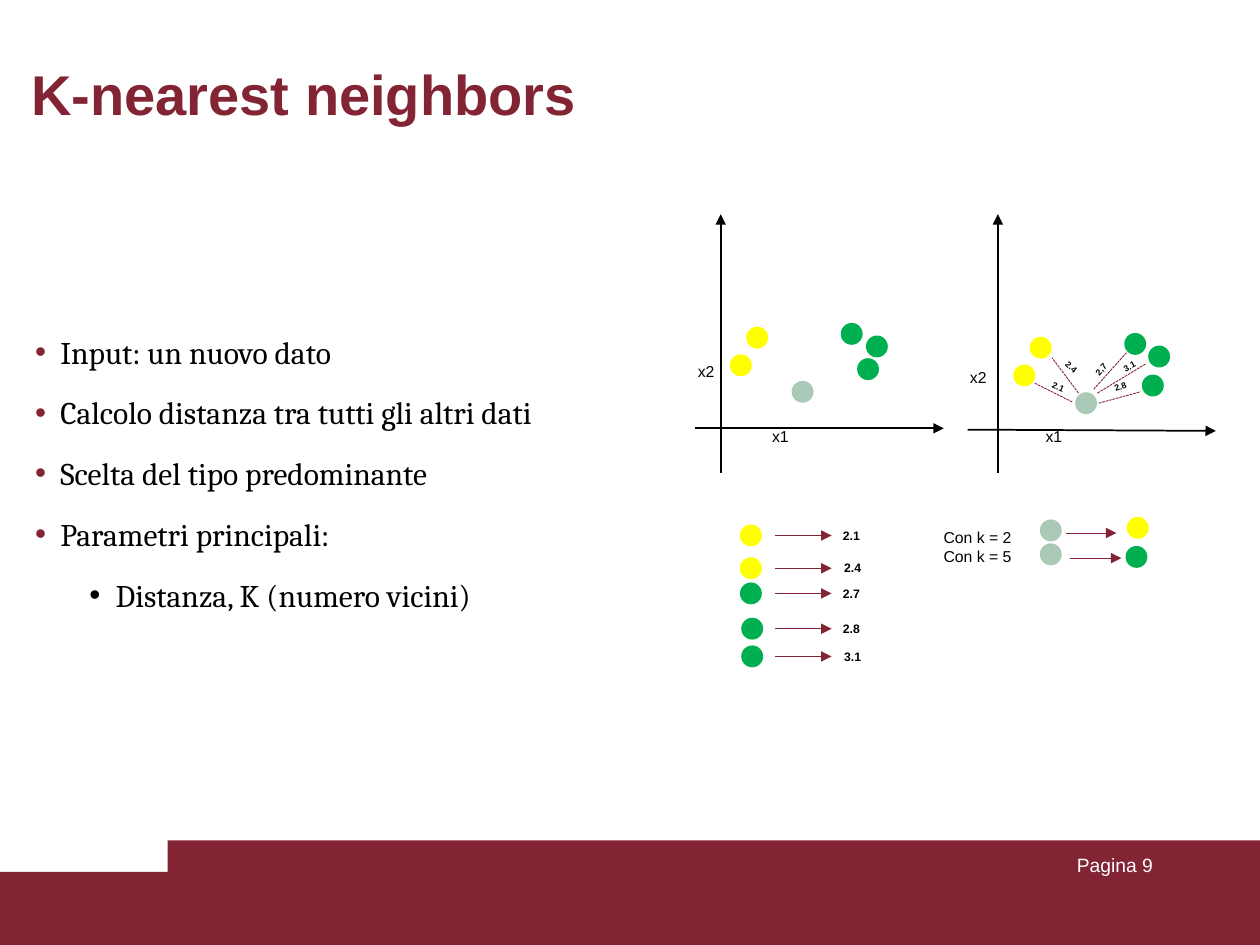
from dataclasses import dataclass

from lxml import etree
from pptx import Presentation
from pptx import util as u
from pptx.dml.color import RGBColor
from pptx.enum import dml, shapes, text
from pptx.oxml import ns


@dataclass(frozen=True)
class Theme:
    """Colours, fonts and type sizes of the slide."""
    wine: str = "822433"
    black: str = "000000"
    white: str = "FFFFFF"
    yellow: str = "FFFF00"
    green: str = "00B050"
    grey: str = "AAC9B6"
    sans: str = "Arial"
    serif: str = "Cambria"
    title: int = 32
    body: int = 18
    footer: int = 11
    label: int = 9
    value: int = 7
    distance: int = 5


THEME = Theme()
DOT = 0.16
BODY = [
    ("Input: un nuovo dato", 0),
    ("Calcolo distanza tra tutti gli altri dati", 0),
    ("Scelta del tipo predominante", 0),
    ("Parametri principali:", 0),
    ("Distanza, K (numero vicini)", 1),
]
INDENTS = [(0.2, -0.2, THEME.wine), (0.64, -0.21, THEME.black)]
DOTS = {
    THEME.yellow: [(5.93, 2.6), (5.8, 2.82), (8.18, 2.68), (8.05, 2.9),
                   (8.95, 4.11)],
    THEME.grey: [(6.29, 3.03), (8.54, 3.12), (8.26, 4.13), (8.26, 4.32)],
    THEME.green: [(6.88, 2.67), (6.81, 2.85), (6.68, 2.57), (9.12, 2.75),
                  (9.07, 2.98), (8.93, 2.65), (8.94, 4.34)],
}
AXES = [
    ((5.72, 3.75), (5.72, 1.7)), ((5.52, 3.4), (7.49, 3.4)),
    ((7.92, 3.75), (7.92, 1.7)), ((7.68, 3.41), (9.65, 3.42)),
]
AXIS_LABELS = [("x1", 6.03, 3.34), ("x2", 5.44, 2.82),
               ("x1", 8.2, 3.34), ("x2", 7.6, 2.87)]
DISTANCES = [
    ("2.1", (8.51, 3.19), (8.21, 3.04), (8.35, 3.04, 0.15), 24.7),
    ("2.4", (8.56, 3.12), (8.35, 2.84), (8.45, 2.89, 0.15), 42.2),
    ("2,7", (8.68, 3.09), (8.94, 2.8), (8.68, 2.87, 0.15), 312.7),
    ("3.1", (8.71, 3.12), (9.09, 2.89), (8.91, 2.85, 0.17), 332.2),
    ("2.8", (8.72, 3.2), (9.05, 3.11), (8.84, 3.01, 0.18), 339.3),
]
RANKING = [
    ("2.1", THEME.yellow, 5.88, 4.25, 6.69),
    ("2.4", THEME.yellow, 5.88, 4.51, 6.7),
    ("2.7", THEME.green, 5.88, 4.71, 6.69),
    ("2.8", THEME.green, 5.89, 4.99, 6.69),
    ("3.1", THEME.green, 5.89, 5.21, 6.7),
]
VOTES = [((8.46, 4.23), (8.86, 4.23)), ((8.49, 4.43), (8.9, 4.43))]


def inch(value):
    """Turn a grid position in inches into a Cm length."""
    return u.Cm(value * 2.54)


def assign(target, values):
    """Set each attribute named in a dict of format values."""
    for name, value in values.items():
        setattr(target, name, value)


def style_font(font, size, colour=THEME.black, name=THEME.sans, bold=False):
    """Give a font its face, size, weight and colour."""
    assign(font, {"name": name, "size": u.Pt(size), "bold": bold})
    font.color.rgb = RGBColor.from_string(colour)


def add_shape(page, kind, area, colour, outline=None):
    """Draw a flat filled shape."""
    shape = page.shapes.add_shape(kind, *map(inch, area))
    shape.shadow.inherit = False
    shape.fill.solid()
    shape.fill.fore_color.rgb = RGBColor.from_string(colour)
    if outline:
        shape.line.width = u.Pt(outline)
        shape.line.color.rgb = RGBColor.from_string(colour)
    else:
        shape.line.fill.background()


def add_dot(page, left, top, colour):
    """Draw one data point."""
    add_shape(page, shapes.MSO_SHAPE.OVAL, (left, top, DOT, DOT), colour, 1)


def add_line(page, start, end, colour, width, arrow=True):
    """Draw a solid arrow or a dashed line between two points."""
    line = page.shapes.add_connector(
        shapes.MSO_CONNECTOR.STRAIGHT, *map(inch, start + end))
    line.line.width = u.Pt(width)
    line.line.color.rgb = RGBColor.from_string(colour)
    if arrow:
        etree.SubElement(line.line._get_or_add_ln(), ns.qn("a:tailEnd"),
                         type="triangle")
    else:
        line.line.dash_style = dml.MSO_LINE.ROUND_DOT
        line.line._get_or_add_ln().find(ns.qn("a:prstDash")).set("val", "sysDash")
    etree.SubElement(line._element.spPr, ns.qn("a:effectLst"))


def add_text(page, area, lines, size, inset=(0.1, 0.05), rotation=0,
             align=text.PP_ALIGN.LEFT, **font):
    """Place a text box with one paragraph per line and return its paragraphs."""
    box = page.shapes.add_textbox(*map(inch, area))
    box.rotation = rotation
    across, down = map(inch, inset)
    assign(box.text_frame, {
        "word_wrap": True, "margin_left": across, "margin_right": across,
        "margin_top": down, "margin_bottom": down})
    box.text_frame.text = "\n".join(lines)
    for para in box.text_frame.paragraphs:
        para.alignment = align
        for span in para.runs:
            style_font(span.font, size, **font)
    return box.text_frame.paragraphs


def add_bullets(page):
    """Place the bulleted list of steps."""
    paras = add_text(page, (0.18, 2.47, 6.38, 3.28), [line for line, _ in BODY],
                     THEME.body, name=THEME.serif)
    for index, (para, (_, level)) in enumerate(zip(paras, BODY)):
        margin, indent, colour = INDENTS[level]
        assign(para, {"level": level, "line_spacing": 1.4,
                      "space_before": u.Pt(4.5 if index else 0)})
        props = para._p.get_or_add_pPr()
        props.set("marL", str(inch(margin)))
        props.set("indent", str(inch(indent)))
        tint = etree.SubElement(props, ns.qn("a:buClr"))
        etree.SubElement(tint, ns.qn("a:srgbClr"), val=colour)
        etree.SubElement(props, ns.qn("a:buFont"), typeface=THEME.sans)
        etree.SubElement(props, ns.qn("a:buChar"), char="•")


def add_plots(page):
    """Draw the two scatter plots, their axes and the distances."""
    for start, end in AXES:
        add_line(page, start, end, THEME.black, 1)
    for label, left, top in AXIS_LABELS:
        add_text(page, (left, top, 0.36, 0.25), [label], THEME.label)
    for value, start, end, area, rotation in DISTANCES:
        add_line(page, start, end, THEME.wine, 0.5, arrow=False)
        add_text(page, area + (0.08,), [value], THEME.distance, (0, 0),
                 rotation, bold=True)
    for colour, places in DOTS.items():
        for left, top in places:
            add_dot(page, left, top, colour)


def add_ranking(page):
    """List the neighbours by distance and the vote for each k."""
    for value, colour, left, middle, label_left in RANKING:
        add_dot(page, left, middle - DOT / 2, colour)
        add_line(page, (6.15, middle), (6.6, middle), THEME.wine, 0.5)
        add_text(page, (label_left, middle - 0.06, 0.25, 0.12), [value],
                 THEME.value, (0, 0), bold=True)
    add_text(page, (7.39, 4.14, 0.82, 0.4), ["Con k = 2", "Con k = 5"],
             THEME.label)
    for start, end in VOTES:
        add_line(page, start, end, THEME.wine, 0.5)


def main():
    """Build the slide and save it."""
    deck = Presentation()
    assign(deck, {"slide_width": inch(10), "slide_height": inch(7.5)})
    page = deck.slides.add_slide(deck.slide_layouts[6])
    for area in ((0, 6.92, 10, 0.58), (1.33, 6.67, 8.67, 0.83)):
        add_shape(page, shapes.MSO_SHAPE.RECTANGLE, area, THEME.wine)
    add_text(page, (0.15, 0.42, 8.27, 0.55), ["K-nearest neighbors"],
             THEME.title, colour=THEME.wine, bold=True)
    add_bullets(page)
    add_plots(page)
    add_ranking(page)
    add_text(page, (7.17, 6.72, 2.08, 0.5), ["Pagina 9"], THEME.footer,
             align=text.PP_ALIGN.RIGHT, colour=THEME.white)
    deck.save("out.pptx")


if __name__ == "__main__":
    main()
